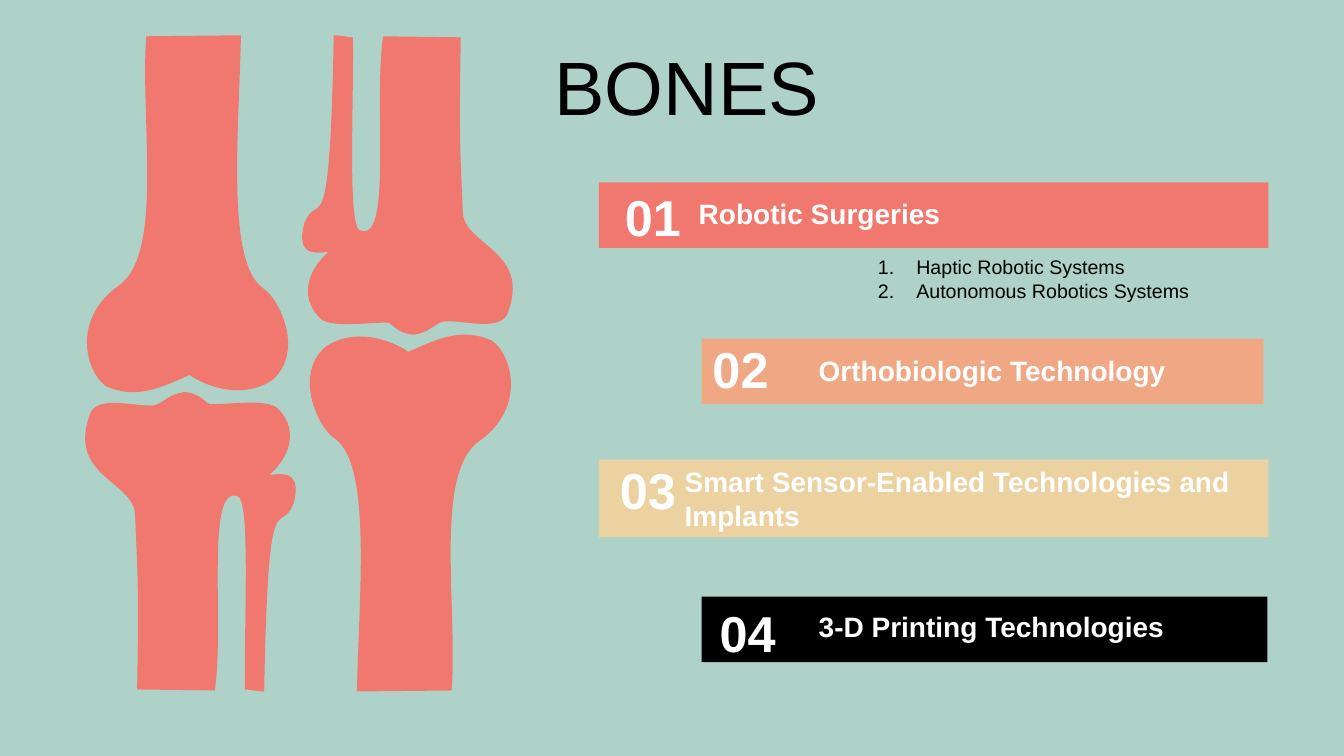
from lxml.etree import SubElement
from pptx import Presentation
from pptx.dml.color import RGBColor
from pptx.enum.shapes import MSO_SHAPE
from pptx.enum.text import MSO_ANCHOR, MSO_AUTO_SIZE, PP_ALIGN
from pptx.oxml.ns import qn
from pptx.util import Inches, Pt

COLORS = {"mint": "AFD2C8", "coral": "F0786E", "peach": "F0A884",
          "sand": "EBD2A0", "black": "000000", "white": "FFFFFF"}

# Each outline: a start point, then lines (2 numbers) and cubic curves (6 numbers)
SHIN = [(1.83, 3.89),
        (1.68, 3.91, 1.64, 3.98, 1.54, 4.02), (1.34, 4.04, 0.99, 3.92, 0.9, 4.09),
        (0.65, 4.72, 1.32, 4.77, 1.34, 5.1), (1.36, 5.65, 1.38, 5.73, 1.36, 6.84),
        (2.13, 6.85),
        (2.23, 6.2, 2.03, 4.76, 2.37, 4.93), (2.48, 5.04, 2.42, 6.16, 2.43, 6.84),
        (2.55, 6.85, 2.46, 6.85, 2.62, 6.86), (2.66, 4.67, 2.77, 5.34, 2.91, 5),
        (3.02, 4.61, 2.71, 4.72, 2.67, 4.71), (2.92, 4.5, 2.94, 4.21, 2.74, 4.04),
        (2.62, 3.96, 2.3, 4.01, 2.08, 4.01), (2.01, 3.97, 1.97, 3.9, 1.83, 3.89)]
THIGH = [(2.39, 0.35), (1.45, 0.36),
         (1.39, 1.22, 1.63, 2.53, 1.17, 2.84), (0.71, 3.17, 0.85, 3.69, 1.05, 3.83),
         (1.35, 3.97, 1.61, 3.84, 1.88, 3.72), (2.07, 3.85, 2.42, 3.96, 2.7, 3.77),
         (3.02, 3.5, 2.78, 2.97, 2.61, 2.86), (2.24, 2.6, 2.37, 1.32, 2.39, 0.35)]
KNEE_BOX = (0.85, 0.35, 2.09, 6.51)
RIGHT_KNEE_LEFT = 2.99

# Number, label, colour, then boxes of band, number and label (grid cells)
CARDS = [
    ("01", "Robotic Surgeries", "coral",
     (5.94, 1.81, 6.64, 0.65), (5.94, 1.8), (6.81, 1.9, 4.37, 0.44)),
    ("02", "Orthobiologic Technology", "peach",
     (6.96, 3.36, 5.57, 0.65), (6.81, 3.3), (8, 3.46, 4.37, 0.44)),
    ("03", "Smart Sensor-Enabled Technologies and Implants", "sand",
     (5.94, 4.56, 6.64, 0.77), (5.89, 4.51), (6.67, 4.56, 6.54, 1.18)),
    ("04", "3-D Printing Technologies", "black",
     (6.96, 5.92, 5.61, 0.65), (6.88, 5.92), (8, 6, 4.37, 0.44)),
]
NUMBER_SIZE = (1.07, 0.71)


class SlideBuilder:
    """Draws on a grid of square cells, 7.5 rows high."""
    FONT = "Arial"
    ROWS = 7.5

    def __init__(self, presentation):
        self.cell = presentation.slide_height / self.ROWS
        self.slide = presentation.slides.add_slide(presentation.slide_layouts[6])

    def grid(self, *cells):
        return [round(count * self.cell) for count in cells]

    def color(self, name):
        return RGBColor.from_string(COLORS[name])

    def background(self, color):
        fill = self.slide.background.fill
        fill.solid()
        fill.fore_color.rgb = self.color(color)

    def paint(self, shape, color):
        shape.shadow.inherit = False
        shape.fill.solid()
        shape.fill.fore_color.rgb = self.color(color)
        shape.line.fill.background()

    def band(self, box, color):
        band = self.slide.shapes.add_shape(MSO_SHAPE.RECTANGLE, *self.grid(*box))
        self.paint(band, color)

    def outline(self, contours, box, color):
        """Draw closed contours of lines and cubic curves in a box."""
        left, top, width, height = self.grid(*box)
        builder = self.slide.shapes.build_freeform(left, top)
        builder.add_line_segments([(left + width, top + height)])
        shape = builder.convert_to_shape()
        track = shape._element.find(".//" + qn("a:path"))
        for segment in list(track):
            track.remove(segment)
        for contour in contours:
            for index, numbers in enumerate(contour):
                tag = "a:cubicBezTo" if len(numbers) == 6 else "a:lnTo"
                segment = SubElement(track, qn(tag if index else "a:moveTo"))
                values = self.grid(*numbers)
                for x, y in zip(values[::2], values[1::2]):
                    SubElement(segment, qn("a:pt"), x=str(x - left), y=str(y - top))
            SubElement(track, qn("a:close"))
        self.paint(shape, color)
        return shape

    def text(self, box, words, size, color, bold=False, align=PP_ALIGN.LEFT,
             anchor=MSO_ANCHOR.TOP, inset=0.1, numbered=False):
        frame = self.slide.shapes.add_textbox(*self.grid(*box)).text_frame
        frame.word_wrap = True
        frame.auto_size = MSO_AUTO_SIZE.SHAPE_TO_FIT_TEXT
        frame.vertical_anchor = anchor
        frame.margin_left = frame.margin_right = Inches(inset)
        frame.text = words
        for paragraph in frame.paragraphs:
            paragraph.alignment = align
            if numbered:
                self.number(paragraph)
            for run in paragraph.runs:
                run.font.name = self.FONT
                run.font.size = Pt(size)
                run.font.bold = bold
                run.font.color.rgb = self.color(color)

    def number(self, paragraph):
        properties = paragraph._p.get_or_add_pPr()
        indent = Inches(0.38)
        properties.set("marL", str(indent))
        properties.set("indent", str(-indent))
        SubElement(properties, qn("a:buFont"), typeface=self.FONT)
        SubElement(properties, qn("a:buAutoNum"), type="arabicPeriod")


def main():
    presentation = Presentation()
    presentation.slide_width = Inches(13.33)
    presentation.slide_height = Inches(7.5)
    builder = SlideBuilder(presentation)
    builder.background("mint")

    # Title
    builder.text((5.4, 0.34, 7.94, 1.02), "BONES", 54, "black",
                 anchor=MSO_ANCHOR.MIDDLE)

    # Numbered topics: bands from the bottom up, then numbers, then labels
    for _, _, color, band_box, _, _ in reversed(CARDS):
        builder.band(band_box, color)
    for number, _, _, _, number_corner, _ in CARDS:
        builder.text(number_corner + NUMBER_SIZE, number, 36, "white", bold=True,
                     align=PP_ALIGN.CENTER, inset=0.12)
    for _, label, _, _, _, label_box in CARDS:
        builder.text(label_box, label, 20, "white", bold=True, inset=0.12)

    # Knee joints: the right one is the left one turned upside down
    builder.outline([SHIN, THIGH], KNEE_BOX, "coral")
    right_knee = builder.outline([SHIN, THIGH], KNEE_BOX, "coral")
    right_knee.left = builder.grid(RIGHT_KNEE_LEFT)[0]
    right_knee.rotation = 180

    # Kinds of robotic surgery
    builder.text((8.61, 2.48, 3.76, 0.57),
                 "Haptic Robotic Systems\nAutonomous Robotics Systems",
                 14, "black", numbered=True)

    presentation.save("out.pptx")


if __name__ == "__main__":
    main()
